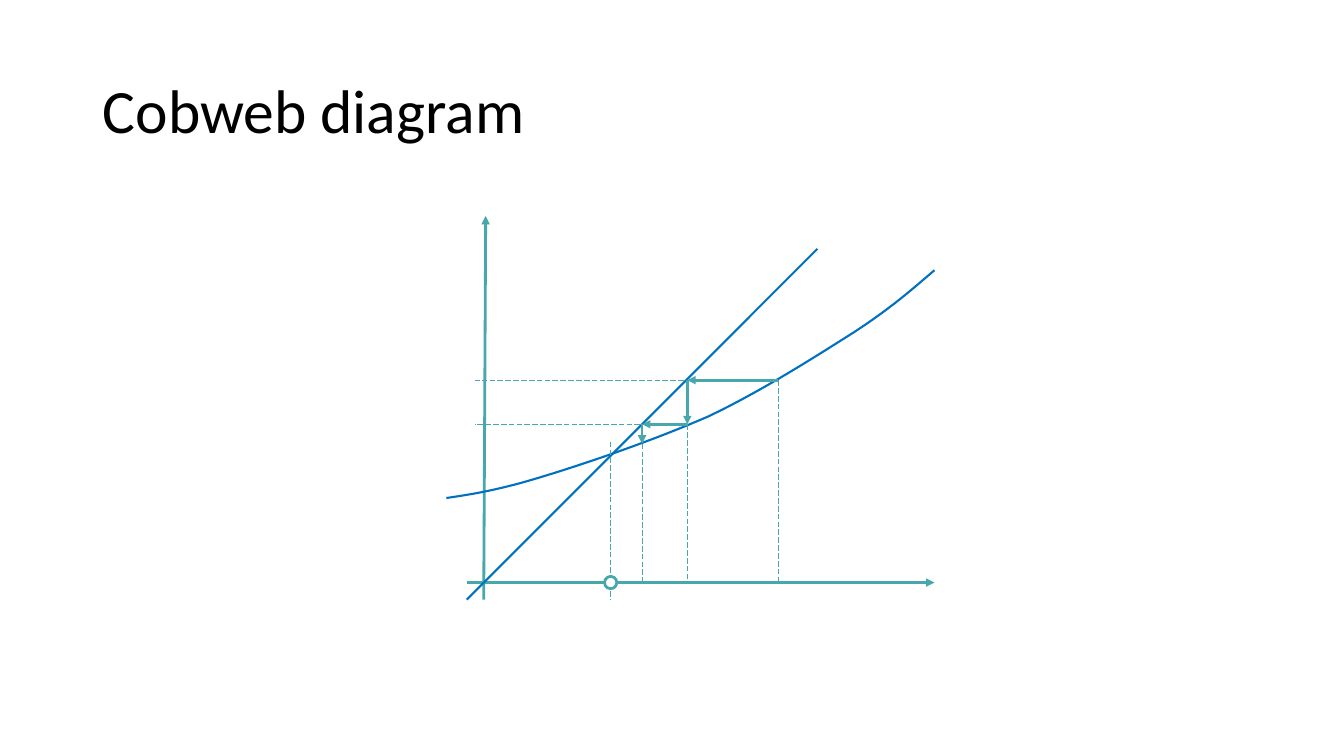
"""Build a slide with a cobweb diagram of a fixed-point iteration."""
from itertools import pairwise

from lxml import etree
from pptx import Presentation
from pptx.dml.color import RGBColor
from pptx.enum import dml, shapes, text
from pptx.oxml import ns
from pptx.util import Cm, Pt

TEAL = RGBColor(0x48, 0xA6, 0xAD)
BLUE = RGBColor(0x00, 0x70, 0xC0)
BLACK = RGBColor(0x00, 0x00, 0x00)
WHITE = RGBColor(0xFF, 0xFF, 0xFF)

AXIS_Y = 14.68
LEVEL_LEFT = 11.96
FIXED_POINT_X = 15.39
MARKER_SIZE = 0.31
ITERATES = [(19.61, 9.58), (17.32, 10.69), (16.18, 11.18)]
MAP_START = (11.25, 12.55)
MAP_BEZIERS = [
    [(11.94, 12.45), (12.62, 12.34), (13.74, 11.99)],
    [(14.83, 11.66), (16.54, 11.07), (17.86, 10.49)],
    [(19.15, 9.88), (20.55, 8.99), (21.51, 8.38)],
    [(22.45, 7.77), (22.99, 7.29), (23.55, 6.81)],
]
BEZIER_STEPS = 16


def add_title(slide, wording):
    """Add the slide title."""
    title = slide.shapes.add_textbox(Cm(2.34), Cm(1.02), Cm(29.21), Cm(3.68))
    frame = title.text_frame
    frame.word_wrap = True
    frame.vertical_anchor = text.MSO_ANCHOR.MIDDLE
    frame.text = wording
    paragraph = frame.paragraphs[0]
    paragraph.line_spacing = 0.9
    font = paragraph.runs[0].font
    font.name, font.size = "Calibri", Pt(44)
    font.color.rgb = BLACK


def add_line(slide, start, end, color=TEAL, width=2.0):
    """Add a straight line between two points given in centimetres."""
    line = slide.shapes.add_connector(
        shapes.MSO_CONNECTOR.STRAIGHT, *map(Cm, start + end))
    line.line.color.rgb = color
    line.line.width = Pt(width)
    etree.SubElement(line._element.spPr, ns.qn("a:effectLst"))
    return line


def add_arrow(slide, start, end):
    """Add a line with a triangular head at its end."""
    arrow = add_line(slide, start, end)
    outline = arrow._element.spPr.find(ns.qn("a:ln"))
    etree.SubElement(outline, ns.qn("a:tailEnd"), type="triangle")


def add_guide(slide, start, end):
    """Add a thin dashed guide line."""
    guide = add_line(slide, start, end, width=0.5)
    guide.line.dash_style = dml.MSO_LINE.LONG_DASH


def bezier_point(controls, t):
    """Return the point of a cubic curve at parameter t, in EMU."""
    weights = ((1 - t) ** 3, 3 * t * (1 - t) ** 2, 3 * t ** 2 * (1 - t), t ** 3)
    return tuple(
        Cm(sum(w * c for w, c in zip(weights, axis))) for axis in zip(*controls))


def add_map_curve(slide):
    """Add the curve of the iterated map."""
    points = []
    start = MAP_START
    for bezier in MAP_BEZIERS:
        points += [bezier_point([start, *bezier], step / BEZIER_STEPS)
                   for step in range(1, BEZIER_STEPS + 1)]
        start = bezier[-1]
    builder = slide.shapes.build_freeform(*map(Cm, MAP_START))
    builder.add_line_segments(points, close=False)
    curve = builder.convert_to_shape()
    curve.shadow.inherit = False
    curve.fill.background()
    curve.line.color.rgb = BLUE
    curve.line.width = Pt(1.5)


def add_fixed_point(slide):
    """Mark the fixed point on the horizontal axis."""
    add_guide(slide, (FIXED_POINT_X, 11.13), (FIXED_POINT_X, 15.11))
    marker = slide.shapes.add_shape(
        shapes.MSO_SHAPE.OVAL, Cm(FIXED_POINT_X - MARKER_SIZE / 2),
        Cm(AXIS_Y - MARKER_SIZE / 2), Cm(MARKER_SIZE), Cm(MARKER_SIZE))
    marker.shadow.inherit = False
    marker.fill.solid()
    marker.fill.fore_color.rgb = WHITE
    marker.line.color.rgb = TEAL
    marker.line.width = Pt(2)


def add_cobweb(slide):
    """Add the guides and the stepping arrows of the iteration."""
    for x, y in ITERATES:
        add_guide(slide, (x, y), (x, AXIS_Y))
    for (x, y), (next_x, next_y) in pairwise(ITERATES):
        add_guide(slide, (x, y), (LEVEL_LEFT, y))
        add_arrow(slide, (x, y), (next_x, y))
        add_arrow(slide, (next_x, y), (next_x, next_y))


def main():
    """Build and save the slide."""
    deck = Presentation()
    deck.slide_width, deck.slide_height = Cm(33.87), Cm(19.05)
    slide = deck.slides.add_slide(deck.slide_layouts[6])
    add_title(slide, "Cobweb diagram")
    add_arrow(slide, (11.76, AXIS_Y), (23.55, AXIS_Y))
    add_arrow(slide, (12.19, 15.11), (12.24, 5.44))
    add_line(slide, (11.76, 15.11), (20.6, 6.27), BLUE, 1.5)
    add_map_curve(slide)
    add_fixed_point(slide)
    add_cobweb(slide)
    deck.save("out.pptx")


if __name__ == "__main__":
    main()
